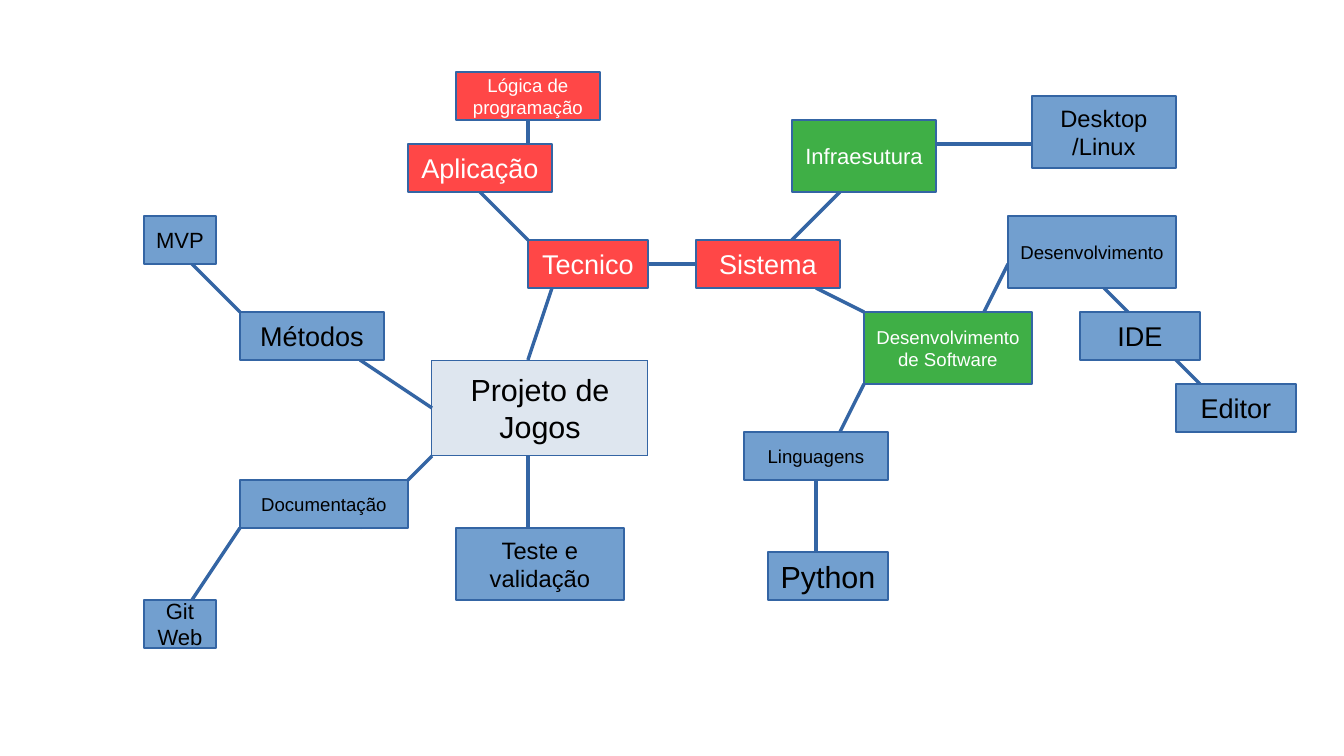
from dataclasses import dataclass

import lxml.etree
import pptx
import pptx.dml.color
import pptx.enum.shapes
import pptx.enum.text
import pptx.oxml.ns
import pptx.util

CELL = 0.5 / 2.54
COLORS = {
    "gray": "DEE6EF",
    "red": "FF4747",
    "green": "3FAF46",
    "blue": "729FCF",
    "line": "3465A4",
    "black": "000000",
    "white": "FFFFFF",
}
TEXT_COLORS = {"gray": "black", "red": "white", "green": "white", "blue": "black"}
FRAME_FORMAT = {
    "word_wrap": True,
    "auto_size": pptx.enum.text.MSO_AUTO_SIZE.NONE,
    "vertical_anchor": pptx.enum.text.MSO_ANCHOR.MIDDLE,
    "margin_left": pptx.util.Inches(0.1),
    "margin_right": pptx.util.Inches(0.1),
    "margin_top": pptx.util.Inches(0.05),
    "margin_bottom": pptx.util.Inches(0.05),
}


@dataclass
class Node:
    text: str
    left: int
    top: int
    width: int
    height: int
    size: int
    fill: str = "blue"


@dataclass
class Link:
    x1: int
    y1: int
    x2: int
    y2: int


CENTER = Node("Projeto de Jogos", 18, 15, 9, 4, 18, "gray")
NODES = [
    Node("Tecnico", 22, 10, 5, 2, 16, "red"),
    Node("Sistema", 29, 10, 6, 2, 16, "red"),
    Node("Aplicação", 17, 6, 6, 2, 16, "red"),
    Node("Lógica de programação", 19, 3, 6, 2, 11, "red"),
    Node("Infraesutura", 33, 5, 6, 3, 13, "green"),
    Node("Desktop /Linux", 43, 4, 6, 3, 14),
    Node("Desenvolvimento de Software", 36, 13, 7, 3, 11, "green"),
    Node("Linguagens", 31, 18, 6, 2, 11),
    Node("Python", 32, 23, 5, 2, 18),
    Node("Desenvolvimento", 42, 9, 7, 3, 11),
    Node("IDE", 45, 13, 5, 2, 16),
    Node("Editor", 49, 16, 5, 2, 16),
    Node("Métodos", 10, 13, 6, 2, 16),
    Node("MVP", 6, 9, 3, 2, 13),
    Node("Documentação", 10, 20, 7, 2, 11),
    Node("Git Web", 6, 25, 3, 2, 13),
    Node("Teste e validação", 19, 22, 7, 3, 14),
]
LINKS = [
    Link(22, 15, 23, 12),
    Link(27, 11, 29, 11),
    Link(22, 10, 20, 8),
    Link(22, 6, 22, 5),
    Link(33, 10, 35, 8),
    Link(39, 6, 43, 6),
    Link(34, 12, 36, 13),
    Link(36, 16, 35, 18),
    Link(34, 20, 34, 23),
    Link(41, 13, 42, 11),
    Link(46, 12, 47, 13),
    Link(49, 15, 50, 16),
    Link(18, 17, 15, 15),
    Link(10, 13, 8, 11),
    Link(18, 19, 15, 22),
    Link(10, 22, 8, 25),
    Link(22, 19, 22, 23),
]


def cells(count: float) -> pptx.util.Length:
    return pptx.util.Inches(count * CELL)


def rgb(name: str) -> pptx.dml.color.RGBColor:
    return pptx.dml.color.RGBColor.from_string(COLORS[name])


def set_line(line: pptx.dml.line.LineFormat) -> None:
    line.color.rgb = rgb("line")
    line.width = pptx.util.Pt(0)


def format_node(sp: pptx.shapes.autoshape.Shape, node: Node) -> None:
    for name in ("left", "top", "width", "height"):
        setattr(sp, name, cells(getattr(node, name)))
    sp.fill.solid()
    sp.fill.fore_color.rgb = rgb(node.fill)
    set_line(sp.line)
    tf = sp.text_frame
    for name, value in FRAME_FORMAT.items():
        setattr(tf, name, value)
    p = tf.paragraphs[0]
    p.alignment = pptx.enum.text.PP_ALIGN.CENTER
    r = p.add_run()
    r.text = node.text
    for name, value in {"name": "Arial", "size": pptx.util.Pt(node.size)}.items():
        setattr(r.font, name, value)
    r.font.color.rgb = rgb(TEXT_COLORS[node.fill])


def add_node(s: pptx.slide.Slide, node: Node) -> None:
    sp = s.shapes.add_shape(pptx.enum.shapes.MSO_SHAPE.RECTANGLE, 0, 0, 0, 0)
    sp.shadow.inherit = False
    format_node(sp, node)


def add_link(s: pptx.slide.Slide, link: Link) -> None:
    ends = map(cells, (link.x1, link.y1, link.x2, link.y2))
    cx = s.shapes.add_connector(pptx.enum.shapes.MSO_CONNECTOR.STRAIGHT, *ends)
    set_line(cx.line)
    lxml.etree.SubElement(cx._element.spPr, pptx.oxml.ns.qn("a:effectLst"))


def main() -> None:
    prs = pptx.Presentation()
    prs.slide_width = cells(56)
    prs.slide_height = cells(31.5)
    s = prs.slides.add_slide(prs.slide_layouts[5])
    format_node(s.shapes.title, CENTER)
    for link in LINKS:
        add_link(s, link)
    for node in NODES:
        add_node(s, node)
    prs.save("out.pptx")


if __name__ == "__main__":
    main()
